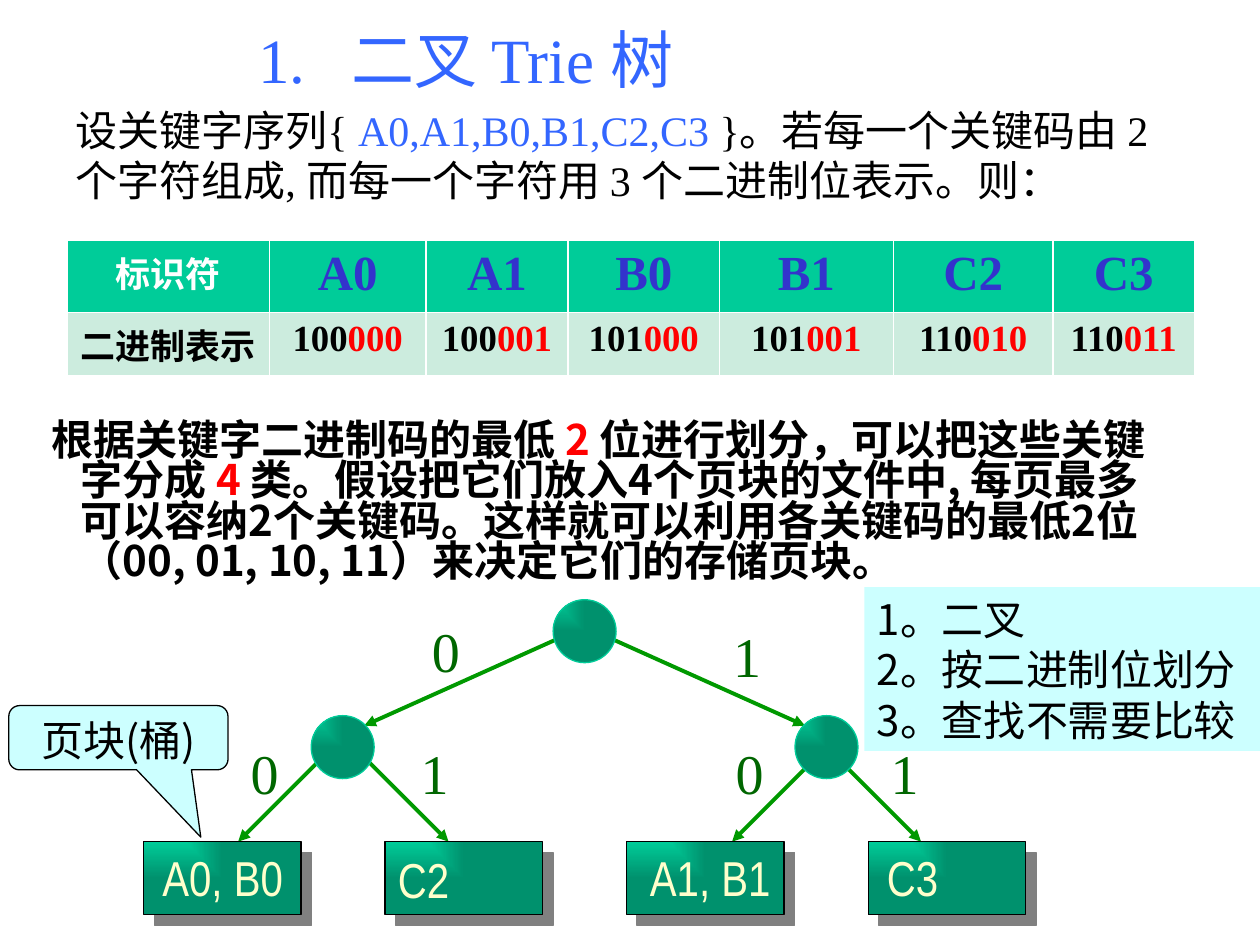
"""Build the slide on a binary trie with its code table and page-block tree."""
from lxml import etree
from pptx import Presentation
from pptx.dml.color import RGBColor
from pptx.enum import shapes as s, text as t
from pptx.oxml import parse_xml
from pptx.oxml.ns import qn
from pptx.util import Inches, Pt

HUES = {"ink": "000000", "blue": "3366FF", "navy": "3333CC", "red": "FF0000",
        "teal": "00CC99", "mint": "CCECDE", "sky": "CCFFFF", "green": "009900",
        "moss": "006600", "cream": "FFFFCC", "white": "FFFFFF", "gray": "808080"}
ROMAN, SANS, NARROW = "Times New Roman", "Noto Sans CJK SC", "Arial Narrow"
NS = 'xmlns:a="http://schemas.openxmlformats.org/drawingml/2006/main"'
GRAD = f"""<a:gradFill {NS} rotWithShape="1"><a:gsLst>
<a:gs pos="0"><a:srgbClr val="{HUES['teal']}"/></a:gs>
<a:gs pos="100000"><a:srgbClr val="{HUES['teal']}"><a:shade val="46275"/></a:srgbClr></a:gs>
</a:gsLst><a:path path="rect"><a:fillToRect r="100000" b="100000"/></a:path></a:gradFill>"""
SHADE = f"""<a:effectLst {NS}><a:outerShdw dist="107950" dir="2700000" algn="ctr" rotWithShape="0">
<a:srgbClr val="{HUES['gray']}"/></a:outerShdw></a:effectLst>"""


def write(para, parts, size, font, bold=False, align=None):
    para.alignment = align
    for words, hue in parts:
        run = para.add_run()
        run.text = words
        run.font.size, run.font.name, run.font.bold = Pt(size), font, bold
        run.font.color.rgb = RGBColor.from_string(HUES[hue])
        east = etree.SubElement(run.font._element, qn("a:ea"))
        east.set("typeface", SANS)


def draw(kind, box, fill, line=None):
    shape = slide.shapes.add_shape(kind, *map(Inches, box))
    shape.shadow.inherit = False
    if fill == "grad":
        shape._element.spPr.find(qn("a:prstGeom")).addnext(parse_xml(GRAD))
    else:
        shape.fill.solid()
        shape.fill.fore_color.rgb = RGBColor.from_string(HUES[fill])
    if line:
        shape.line.color.rgb = RGBColor.from_string(HUES[line])
        shape.line.width = Pt(0.75)
    else:
        shape.line.fill.background()
    return shape


deck = Presentation()
deck.slide_width, deck.slide_height = Inches(10), Inches(7.5)
slide = deck.slides.add_slide(deck.slide_layouts[1])
title, body = slide.placeholders
intro = slide.shapes.add_textbox(0, 0, 0, 0)
for shape, box in ((title, (1.95, 0.09, 4.43, 0.75)),
                   (body, (0.16, 3.31, 9.27, 1.71)),
                   (intro, (0.12, 0.78, 9.31, 0.95))):
    shape.left, shape.top, shape.width, shape.height = map(Inches, box)
    shape.text_frame.auto_size = t.MSO_AUTO_SIZE.NONE
    shape.text_frame.word_wrap = True

title.text_frame.vertical_anchor = t.MSO_ANCHOR.MIDDLE
write(title.text_frame.paragraphs[0], [("1.\t二叉 Trie 树", "blue")], 36, ROMAN,
      align=t.PP_ALIGN.JUSTIFY)
rule = body.text_frame.paragraphs[0]
write(rule, [("根据关键字二进制码的最低 ", "ink"), ("2 ", "red"),
             ("位进行划分，可以把这些关键字分成 ", "ink"), ("4 ", "red"),
             ("类。假设把它们放入4个页块的文件中, 每页最多可以容纳2个关键码。"
              "这样就可以利用各关键码的最低2位（00, 01, 10, 11）来决定它们的存储页块。", "ink")],
      24, SANS, True)
rule.line_spacing = 0.8
lead = intro.text_frame.paragraphs[0]
write(lead, [("设关键字序列{", "ink"), (" A0,A1,B0,B1,C2,C3", "blue"),
             (" }。若每一个关键码由 2 个字符组成, 而每一个字符用 3 个二进制位表示。则：", "ink")],
      24, ROMAN)
for para, margin, indent in ((title.text_frame.paragraphs[0], 0.74, -0.74),
                             (rule, 0.38, -0.23), (lead, 0.38, 0)):
    props = para._p.get_or_add_pPr()
    props.set("marL", str(Inches(margin)))
    props.set("indent", str(Inches(indent)))
    etree.SubElement(props, qn("a:buNone"))
for para in (rule, lead):
    para.space_before = Pt(4.8)

codes = {"A0": "100000", "A1": "100001", "B0": "101000",
         "B1": "101001", "C2": "110010", "C3": "110011"}
grid = slide.shapes.add_table(2, 7, *map(Inches, (0.53, 1.91, 8.95, 1.02))).table
for col, width in zip(grid.columns, (1.61, 1.24, 1.13, 1.2, 1.38, 1.27, 1.12)):
    col.width = Inches(width)
for row, height in zip(grid.rows, (0.57, 0.45)):
    row.height = Inches(height)
heads = [([("标识符", "white")], 20)] + [([(key, "navy")], 28) for key in codes]
bits = [([("二进制表示", "ink")], 20)]
bits += [([(code[:3], "ink"), (code[3:], "red")], 21) for code in codes.values()]
for y, (cells, fill) in enumerate(((heads, "teal"), (bits, "mint"))):
    for x, (parts, size) in enumerate(cells):
        cell = grid.cell(y, x)
        cell.fill.solid()
        cell.fill.fore_color.rgb = RGBColor.from_string(HUES[fill])
        write(cell.text_frame.paragraphs[0], parts, size, ROMAN, True, t.PP_ALIGN.CENTER)

for x1, y1, x2, y2 in ((4.56, 5.01, 2.89, 5.76), (4.72, 5.01, 6.39, 5.76),
                       (2.64, 5.93, 1.89, 6.68), (2.72, 5.84, 3.56, 6.68),
                       (6.56, 5.93, 5.81, 6.68), (6.47, 5.84, 7.31, 6.68)):
    edge = slide.shapes.add_connector(s.MSO_CONNECTOR.STRAIGHT,
                                      *map(Inches, (x1, y1, x2, y2)))
    edge.line.color.rgb = RGBColor.from_string(HUES["green"])
    edge.line.width = Pt(2.25)
    etree.SubElement(edge.line._get_or_add_ln(), qn("a:tailEnd")).set("type", "triangle")
    etree.SubElement(edge._element.spPr, qn("a:effectLst"))

for x, y in ((4.39, 4.76), (2.47, 5.68), (6.31, 5.68)):
    draw(s.MSO_SHAPE.OVAL, (x, y, 0.5, 0.5), "grad", "teal")
for i in range(4):
    page = draw(s.MSO_SHAPE.RECTANGLE, (1.14 + i * 5.75 / 3, 6.68, 1.25, 0.58), "grad", "ink")
    props = page._element.spPr
    props.replace(props.find(qn("a:effectLst")), parse_xml(SHADE))

marks = [(word, x, y, 0.42, 0.63, 32, ROMAN, "moss") for word, x, y in (
    ("0", 3.33, 4.84), ("1", 5.72, 4.88), ("0", 1.89, 5.81),
    ("1", 3.24, 5.81), ("0", 5.74, 5.81), ("1", 6.97, 5.81))]
marks += [(word, x, y, width, 0.57, 28, NARROW, "cream") for word, x, y, width in (
    ("A0, B0", 1.19, 6.68, 1.19), ("C2", 3.06, 6.69, 0.61),
    ("A1, B1", 5.06, 6.68, 1.19), ("C3", 6.94, 6.68, 0.61))]
for word, x, y, width, height, size, font, hue in marks:
    mark = slide.shapes.add_textbox(*map(Inches, (x, y, width, height)))
    mark.text_frame.word_wrap = False
    write(mark.text_frame.paragraphs[0], [(word, hue)], size, font)

call = draw(s.MSO_SHAPE.ROUNDED_RECTANGULAR_CALLOUT, (0.07, 5.6, 1.74, 0.51), "sky", "ink")
for i, value in enumerate((0.376, 1.548, 0.167)):
    call.adjustments[i] = value
call.text_frame.vertical_anchor = t.MSO_ANCHOR.TOP
write(call.text_frame.paragraphs[0], [("页块(桶)", "ink")], 24, SANS, align=t.PP_ALIGN.CENTER)

note = draw(s.MSO_SHAPE.RECTANGLE, (6.86, 4.66, 3.14, 1.3), "sky")
note.text_frame.vertical_anchor = t.MSO_ANCHOR.TOP
note.text_frame.text = "\n" * 2
for para, words in zip(note.text_frame.paragraphs,
                       ("1。二叉", "2。按二进制位划分", "3。查找不需要比较")):
    write(para, [(words, "ink")], 24, SANS, align=t.PP_ALIGN.LEFT)

deck.save("out.pptx")
